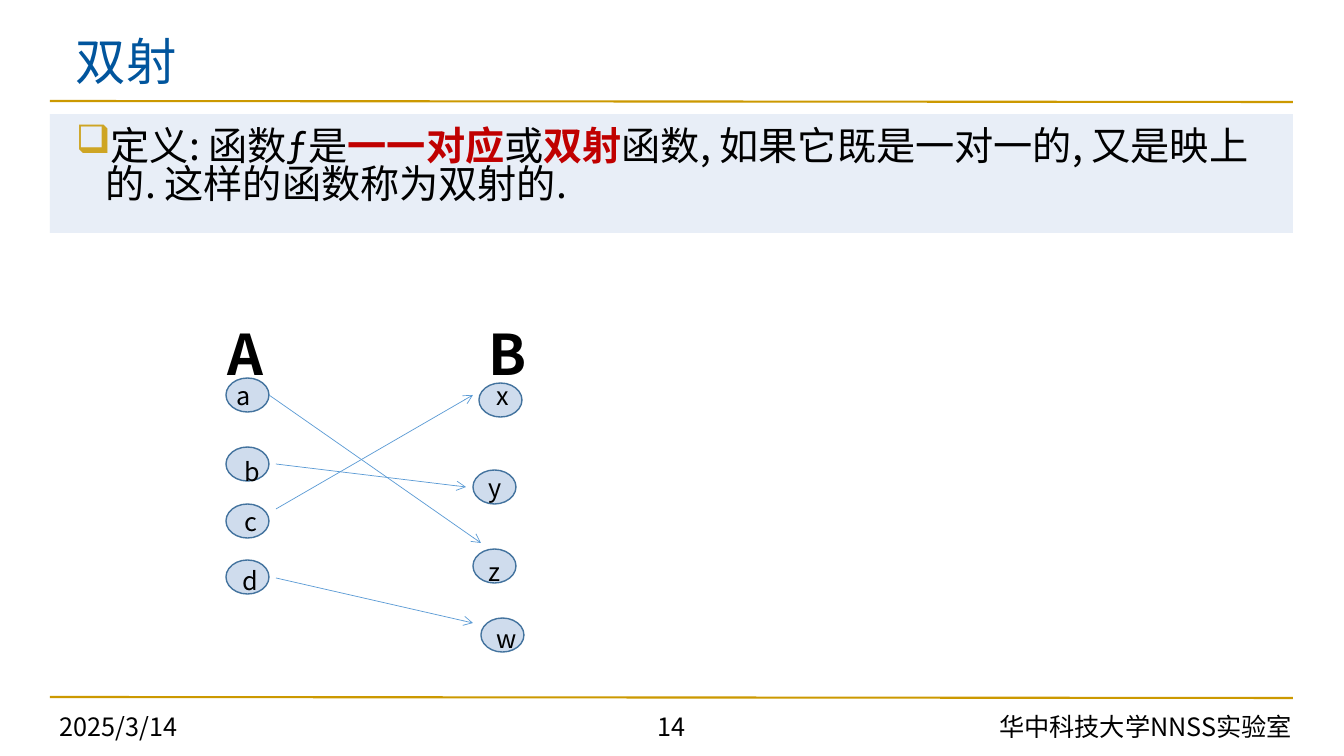
from lxml import etree
from pptx import Presentation
from pptx.dml.color import RGBColor
from pptx.enum.shapes import MSO_CONNECTOR, MSO_SHAPE
from pptx.enum.text import MSO_ANCHOR, PP_ALIGN
from pptx.oxml.ns import qn
from pptx.util import Pt

PX = 12192000 / 1344
WIDTH, HEIGHT = 1344, 756
FONT = "Noto Sans CJK SC"
LINE = MSO_CONNECTOR.STRAIGHT
RECT, OVAL = MSO_SHAPE.RECTANGLE, MSO_SHAPE.FLOWCHART_CONNECTOR
LEFT, CENTER, RIGHT = PP_ALIGN.LEFT, PP_ALIGN.CENTER, PP_ALIGN.RIGHT
TOP, MIDDLE = MSO_ANCHOR.TOP, MSO_ANCHOR.MIDDLE

BLACK = RGBColor(0x00, 0x00, 0x00)
BLUE = RGBColor(0x01, 0x55, 0x9D)
RED = RGBColor(0xC0, 0x00, 0x00)
GOLD = RGBColor(0xCC, 0x99, 0x00)
AMBER = RGBColor(0xCE, 0xA5, 0x24)
PALE = RGBColor(0xB4, 0xC7, 0xE7)
NODE = RGBColor(0x4F, 0x81, 0xBD)
EDGE = RGBColor(0x43, 0x73, 0x9E)
ARROW = RGBColor(0x5B, 0x9B, 0xD5)


def emu(*lengths):
    return [round(n * PX) for n in lengths]


def add_bullet(para, mark, color, hang):
    props = para._p.get_or_add_pPr()
    indent, = emu(hang)
    props.set("marL", str(indent))
    props.set("indent", str(-indent))
    tint = etree.SubElement(props, qn("a:buClr"))
    etree.SubElement(tint, qn("a:srgbClr"), val=str(color))
    etree.SubElement(props, qn("a:buChar"), char=mark)


def add_text(shapes, box, text, size=18, color=BLACK, bold=False,
             align=LEFT, anchor=TOP, spacing=None, bullet=None):
    """Text is a string or a list of (string, color, bold) runs."""
    frame = shapes.add_textbox(*emu(*box)).text_frame
    frame.word_wrap = True
    frame.vertical_anchor = anchor
    para = frame.paragraphs[0]
    para.alignment = align
    if spacing:
        para.line_spacing = spacing
    if bullet:
        add_bullet(para, *bullet)
    runs = [(text, color, bold)] if isinstance(text, str) else text
    for words, tint, heavy in runs:
        run = para.add_run()
        run.text = words
        font = run.font
        font.name, font.size, font.bold = FONT, Pt(size), heavy
        font.color.rgb = tint
        props = run._r.get_or_add_rPr()
        etree.SubElement(props, qn("a:ea"), typeface=FONT)


def add_panel(shapes, kind, box, fill, alpha, line=None):
    shape = shapes.add_shape(kind, *emu(*box))
    shape.shadow.inherit = False
    shape.fill.solid()
    shape.fill.fore_color.rgb = fill
    tint = shape._element.spPr.find(qn("a:solidFill"))[0]
    etree.SubElement(tint, qn("a:alpha"), val=str(alpha * 1000))
    if line is None:
        shape.line.fill.background()
    else:
        shape.line.color.rgb = line
        shape.line.width = Pt(1)


def add_line(shapes, ends, color, width, arrow=False):
    line = shapes.add_connector(LINE, *emu(*ends))
    line.line.color.rgb = color
    line.line.width = Pt(width)
    if arrow:
        etree.SubElement(line.line._ln, qn("a:tailEnd"), type="arrow")
    etree.SubElement(line._element.spPr, qn("a:effectLst"))


def add_header(shapes, x, y, w, h):
    add_line(shapes, (x, y + h, x + w, y + h + 1), GOLD, 1.5)
    add_text(shapes, (x + 16, y, w - 31, h - 1), "双射", size=36,
             color=BLUE, anchor=MIDDLE, spacing=0.9)


def add_definition(shapes, x, y, w, h):
    add_panel(shapes, RECT, (x, y, w, h), PALE, 30)
    runs = [
        ("定义: 函数ƒ是", BLACK, False),
        ("一一对应", RED, True),
        ("或", BLACK, False),
        ("双射", RED, True),
        ("函数, 如果它既是一对一的, 又是映上的. 这样的函数称为双射的.",
         BLACK, False),
    ]
    add_text(shapes, (x + 16, y + 11, w - 31, h - 11), runs, size=28,
             spacing=0.81, bullet=("❑", AMBER, 30))


def add_mapping(shapes, x, y):
    """Sets A and B with the arrows of the bijection between them."""
    group = shapes.add_group_shape().shapes
    for name, left in (("A", 0), ("B", 261)):
        add_text(group, (x + left, y, 66, 78), name, size=40, bold=True)
    nodes = [  # letter, oval left and top, letter left and top
        ("a", 8, 63, 9, 60), ("b", 8, 132, 17, 136),
        ("c", 8, 189, 17, 186), ("d", 8, 245, 15, 245),
        ("x", 261, 68, 269, 60), ("y", 255, 155, 261, 152),
        ("z", 255, 234, 261, 236), ("w", 263, 303, 269, 303),
    ]
    for name, left, top, inset, drop in nodes:
        add_panel(group, OVAL, (x + left, y + top, 43, 34), NODE, 27, EDGE)
        add_text(group, (x + inset, y + drop, 29, 40), name)
    arrows = [(51, 80, 263, 228), (58, 149, 248, 172),
              (58, 194, 255, 80), (58, 263, 255, 308)]
    for x1, y1, x2, y2 in arrows:
        add_line(group, (x + x1, y + y1, x + x2, y + y2), ARROW, 0.5, True)


def add_footer(shapes, x, y, w, h):
    add_line(shapes, (x, y, x + w, y + 1), GOLD, 1.5)
    parts = [("2025/3/14", 0, 320, LEFT), ("14", 420, 403, CENTER),
             ("华中科技大学NNSS实验室", 731, 521, RIGHT)]
    for words, left, width, align in parts:
        add_text(shapes, (x + left, y + 8, width, h - 8), words,
                 align=align, anchor=MIDDLE)


def main():
    deck = Presentation()
    deck.slide_width, deck.slide_height = emu(WIDTH, HEIGHT)
    shapes = deck.slides.add_slide(deck.slide_layouts[6]).shapes
    add_header(shapes, 50, 29, 1243, 72)
    add_definition(shapes, 50, 114, 1243, 119)
    add_mapping(shapes, 218, 315)
    add_footer(shapes, 50, 697, 1243, 50)
    deck.save("out.pptx")


if __name__ == "__main__":
    main()
